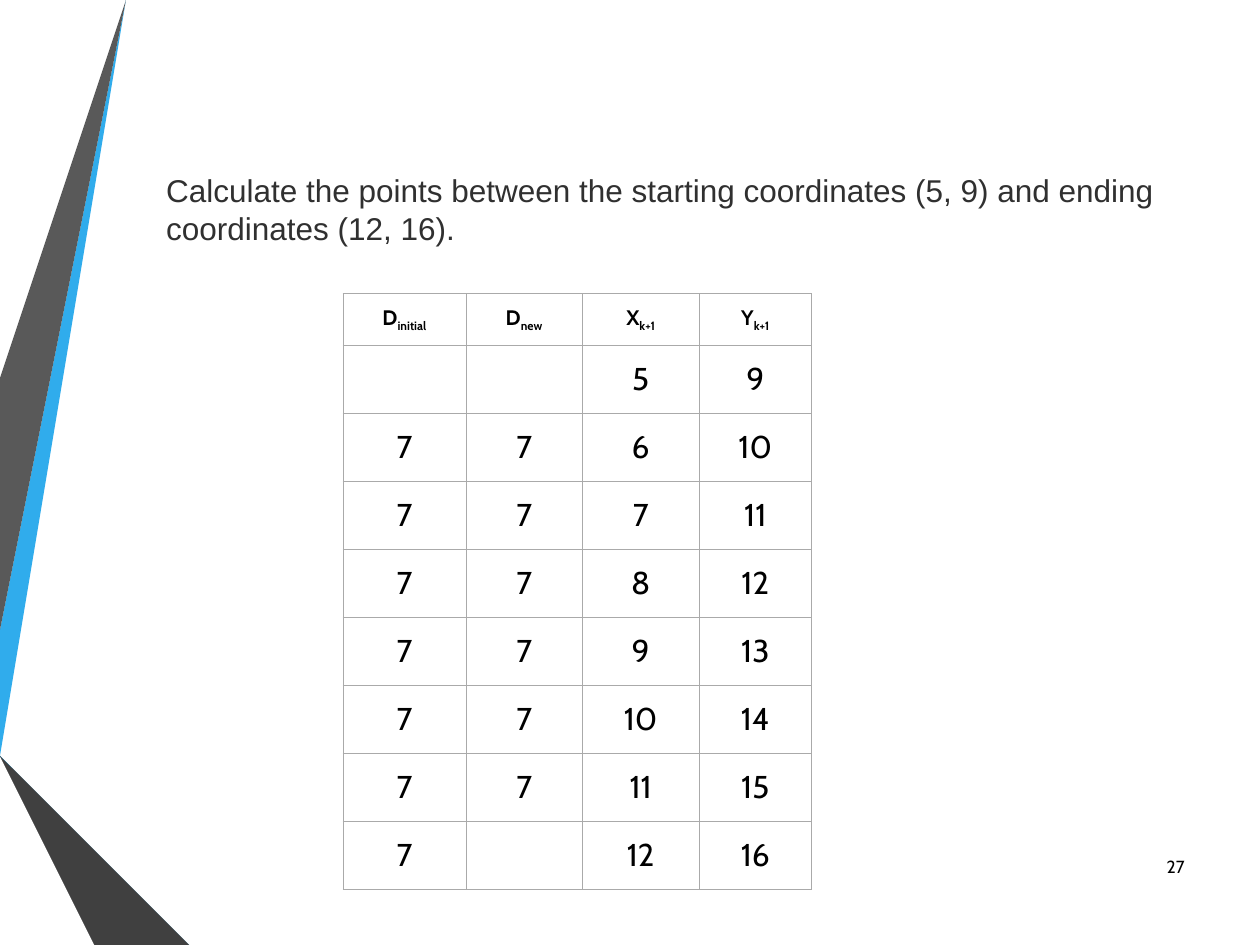
from lxml import etree
from pptx import Presentation, util as u
from pptx.dml.color import RGBColor
from pptx.enum import text
from pptx.oxml.ns import qn

BLACK = RGBColor(0x00, 0x00, 0x00)
WHITE = RGBColor(0xFF, 0xFF, 0xFF)
BODY = RGBColor(0x30, 0x30, 0x30)
BORDER = RGBColor(0xAA, 0xAA, 0xAA)
SKY = RGBColor(0x30, 0xAC, 0xEC)
BLUE = RGBColor(0x12, 0x87, 0xC3)
NAVY = RGBColor(0x0C, 0x5A, 0x82)
GRAY = RGBColor(0x59, 0x59, 0x59)
CHARCOAL = RGBColor(0x40, 0x40, 0x40)
INK = RGBColor(0x26, 0x26, 0x26)

WIDTH, HEIGHT = 10, 7.5
TASK = ("Calculate the points between the starting coordinates (5, 9) "
        "and ending coordinates (12, 16).")
PAGE_NUMBER = "27"

HEADERS = [("D", "initial"), ("D", "new"), ("X", "k+1"), ("Y", "k+1")]
ROWS = [
    ("", "", "5", "9"),
    ("7", "7", "6", "10"),
    ("7", "7", "7", "11"),
    ("7", "7", "8", "12"),
    ("7", "7", "9", "13"),
    ("7", "7", "10", "14"),
    ("7", "7", "11", "15"),
    ("7", "", "12", "16"),
]
TABLE_LEFT, TABLE_TOP = 2.72, 2.33
COLUMN_WIDTHS = [0.98, 0.92, 0.93, 0.89]
ROW_HEIGHTS = [0.41] + [0.54] * len(ROWS)

RIBBONS = [
    (SKY, [(0, 5.44), (0, 5.75), (0.22, 5.79), (1.17, 0), (0.89, 0)]),
    (GRAY, [(0.83, 0), (0.55, 0), (0, 3.36), (0, 5.06)]),
    (INK, [(0, 6.19), (0, 6.21), (0.93, HEIGHT), (0.99, HEIGHT)]),
    (NAVY, [(0, 5.79), (0, 5.8), (1.56, HEIGHT), (1.63, HEIGHT)]),
    (BLUE, [(0, 5.79), (1.63, HEIGHT), (2.33, HEIGHT), (0.22, 5.79), (0, 5.75)]),
    (CHARCOAL, [(0, 6.19), (0.99, HEIGHT), (1.51, HEIGHT), (0, 5.86)]),
]


def add_ribbon(page, color, points):
    """Draw one filled ribbon through points given in inches."""
    builder = page.shapes.build_freeform(*points[0], scale=u.Inches(1))
    builder.add_line_segments(points[1:], close=True)
    ribbon = builder.convert_to_shape()
    ribbon.shadow.inherit = False
    ribbon.fill.solid()
    ribbon.fill.fore_color.rgb = color
    ribbon.line.fill.background()


def write(para, words, size=18, font="Cabin", color=BLACK, bold=False,
          align=text.PP_ALIGN.LEFT, subscript=False):
    """Add one formatted span to a paragraph."""
    para.alignment = align
    span = para.add_run()
    span.text = words
    span.font.size = u.Pt(size)
    span.font.name = font
    span.font.bold = bold
    span.font.color.rgb = color
    if subscript:
        span.font._element.set("baseline", "-25000")


def add_text(page, words, left, top, width, height,
             anchor=text.MSO_ANCHOR.TOP, **style):
    """Add a wrapped text box placed in inches."""
    box = page.shapes.add_textbox(*map(u.Inches, (left, top, width, height)))
    box.text_frame.word_wrap = True
    box.text_frame.vertical_anchor = anchor
    write(box.text_frame.paragraphs[0], words, **style)


def style_cell(cell):
    """Give a cell thin borders, a white fill and even margins."""
    properties = cell._tc.get_or_add_tcPr()
    for side in ("a:lnL", "a:lnR", "a:lnT", "a:lnB"):
        line = etree.SubElement(properties, qn(side), w=str(u.Pt(0.23)))
        fill = etree.SubElement(line, qn("a:solidFill"))
        etree.SubElement(fill, qn("a:srgbClr"), val=str(BORDER))
    cell.fill.solid()
    cell.fill.fore_color.rgb = WHITE
    cell.margin_left = cell.margin_right = u.Inches(0.07)
    cell.margin_top = cell.margin_bottom = u.Inches(0.05)
    cell.vertical_anchor = text.MSO_ANCHOR.MIDDLE


def add_points_table(page):
    """Build the table of computed points."""
    frame = page.shapes.add_table(
        len(ROW_HEIGHTS), len(COLUMN_WIDTHS),
        u.Inches(TABLE_LEFT), u.Inches(TABLE_TOP),
        u.Inches(sum(COLUMN_WIDTHS)), u.Inches(sum(ROW_HEIGHTS)))
    table = frame.table
    table.horz_banding = False
    for column, width in zip(table.columns, COLUMN_WIDTHS):
        column.width = u.Inches(width)
    for row, height in zip(table.rows, ROW_HEIGHTS):
        row.height = u.Inches(height)
    for cell in table.iter_cells():
        style_cell(cell)

    center = text.PP_ALIGN.CENTER
    for index, (symbol, suffix) in enumerate(HEADERS):
        para = table.cell(0, index).text_frame.paragraphs[0]
        write(para, symbol, size=12, bold=True, align=center)
        write(para, suffix, size=12, bold=True, align=center, subscript=True)
    for row_index, values in enumerate(ROWS, start=1):
        for index, value in enumerate(values):
            if value:
                para = table.cell(row_index, index).text_frame.paragraphs[0]
                write(para, value, align=center)


def main():
    """Assemble and save the slide."""
    deck = Presentation()
    deck.slide_width, deck.slide_height = u.Inches(WIDTH), u.Inches(HEIGHT)
    page = deck.slides.add_slide(deck.slide_layouts[6])
    page.background.fill.solid()
    page.background.fill.fore_color.rgb = WHITE
    for color, points in RIBBONS:
        add_ribbon(page, color, points)
    add_text(page, PAGE_NUMBER, 9.03, 6.68, 0.47, 0.4, size=10,
             anchor=text.MSO_ANCHOR.MIDDLE, align=text.PP_ALIGN.RIGHT)
    add_text(page, TASK, 1.22, 1.31, 8.43, HEIGHT - 1.31,
             font="Arial", color=BODY)
    add_points_table(page)
    deck.save("out.pptx")


main()
